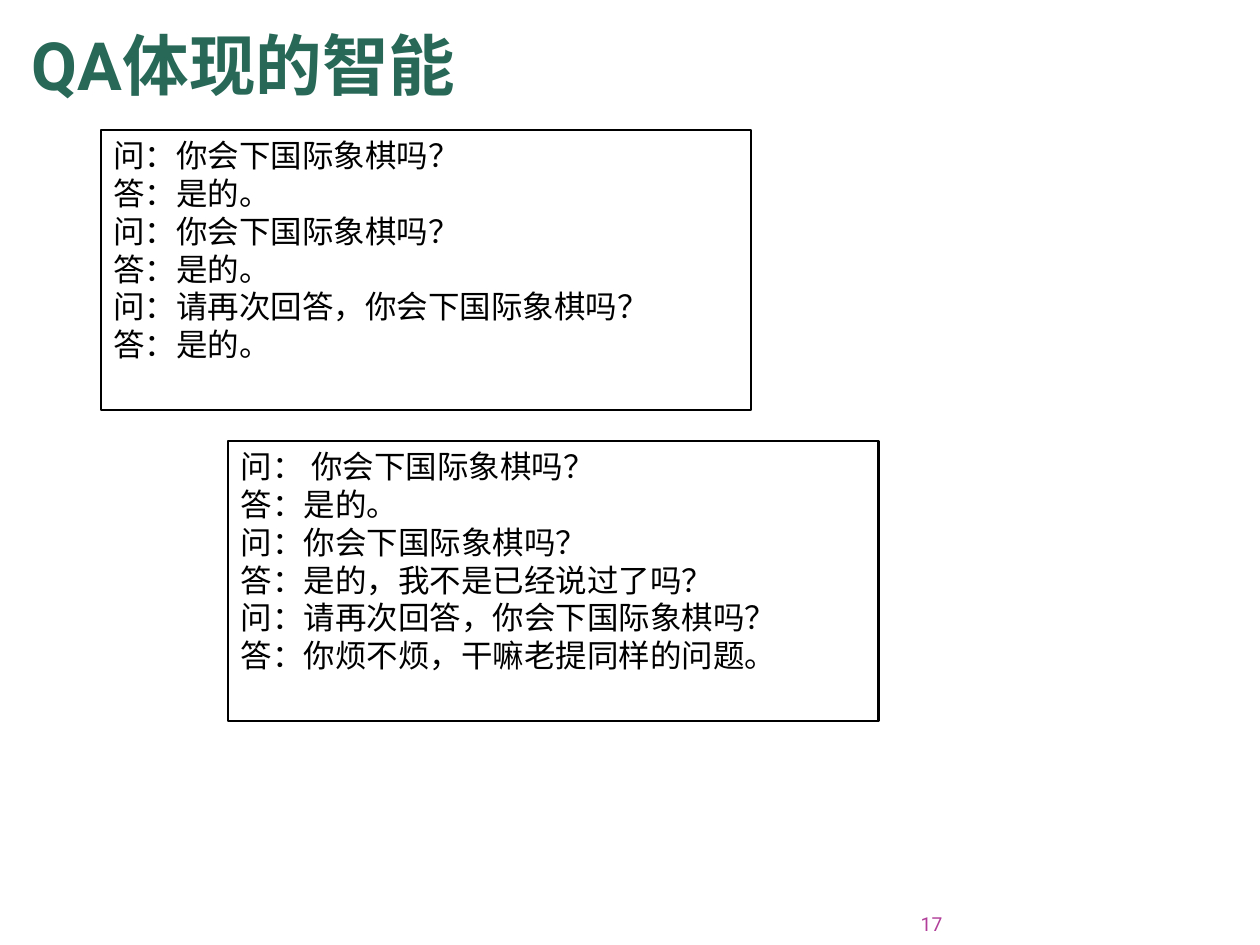
from dataclasses import dataclass, field

from lxml import etree
from pptx import Presentation
from pptx import util as u
from pptx.dml.color import RGBColor
from pptx.enum import shapes, text
from pptx.oxml.ns import qn

FONT = "Roboto"
BLACK, GREEN, PURPLE = "000000", "286857", "B13F9A"
QUESTION = "问：你会下国际象棋吗？"
ASK_AGAIN = "问：请再次回答，你会下国际象棋吗？"
YES = "答：是的。"


@dataclass
class TextBlock:
    left: float
    top: float
    width: float
    height: float
    lines: list[str]
    size: float = 18
    color: str = BLACK
    bold: bool = False
    outlined: bool = False
    align: text.PP_ALIGN = text.PP_ALIGN.LEFT
    frame: dict = field(default_factory=dict)


def rgb(value: str) -> RGBColor:
    return RGBColor.from_string(value)


def apply(target, values: dict) -> None:
    for name, value in values.items():
        setattr(target, name, value)


def margins(side: float) -> dict:
    return {"margin_left": u.Cm(side), "margin_right": u.Cm(side),
            "margin_top": 0, "margin_bottom": 0,
            "vertical_anchor": text.MSO_ANCHOR.BOTTOM}


def add_block(slide, block: TextBlock) -> None:
    box = [u.Cm(n) for n in (block.left, block.top, block.width, block.height)]
    if block.outlined:
        shape = slide.shapes.add_shape(shapes.MSO_SHAPE.RECTANGLE, *box)
        shape.shadow.inherit = False
        shape.fill.background()
        shape.line.color.rgb = rgb(BLACK)
        shape.line.width = u.Pt(1.25)
    else:
        shape = slide.shapes.add_textbox(*box)

    frame = shape.text_frame
    apply(frame, {"word_wrap": True, "auto_size": text.MSO_AUTO_SIZE.NONE,
                  "vertical_anchor": text.MSO_ANCHOR.TOP, **block.frame})
    for index, line in enumerate(block.lines):
        paragraph = frame.add_paragraph() if index else frame.paragraphs[0]
        paragraph.alignment = block.align
        run = paragraph.add_run()
        run.text = line
        apply(run.font, {"name": FONT, "size": u.Pt(block.size), "bold": block.bold})
        run.font.color.rgb = rgb(block.color)
        # Chinese characters use the same typeface
        latin = run.font._element.find(qn("a:latin"))
        east_asian = etree.Element(qn("a:ea"), typeface=FONT)
        latin.addnext(east_asian)


def dialogue(left: float, top: float, lines: list[str]) -> TextBlock:
    return TextBlock(left, top, 13.11, 5.64, lines, outlined=True)


BLOCKS = [
    # Page number
    TextBlock(17.37, 18.21, 1.63, 0.64, ["17"], size=11, color=PURPLE,
              align=text.PP_ALIGN.RIGHT, frame=margins(0)),
    # Dialogue with mechanical answers
    dialogue(2.03, 2.62, [QUESTION, YES, QUESTION, YES, ASK_AGAIN, YES]),
    # Dialogue with human answers
    dialogue(4.6, 8.89, ["问： 你会下国际象棋吗？", YES,
                         QUESTION, "答：是的，我不是已经说过了吗？",
                         ASK_AGAIN, "答：你烦不烦，干嘛老提同样的问题。"]),
    # Title
    TextBlock(0.51, 0.25, 20.09, 1.85, ["QA体现的智能"], size=38, color=GREEN,
              bold=True, frame=margins(0.13)),
]


def main() -> None:
    presentation = Presentation()
    presentation.slide_width, presentation.slide_height = u.Cm(25.4), u.Cm(19.05)
    slide = presentation.slides.add_slide(presentation.slide_layouts[6])
    for block in BLOCKS:
        add_block(slide, block)
    presentation.save("out.pptx")


if __name__ == "__main__":
    main()
